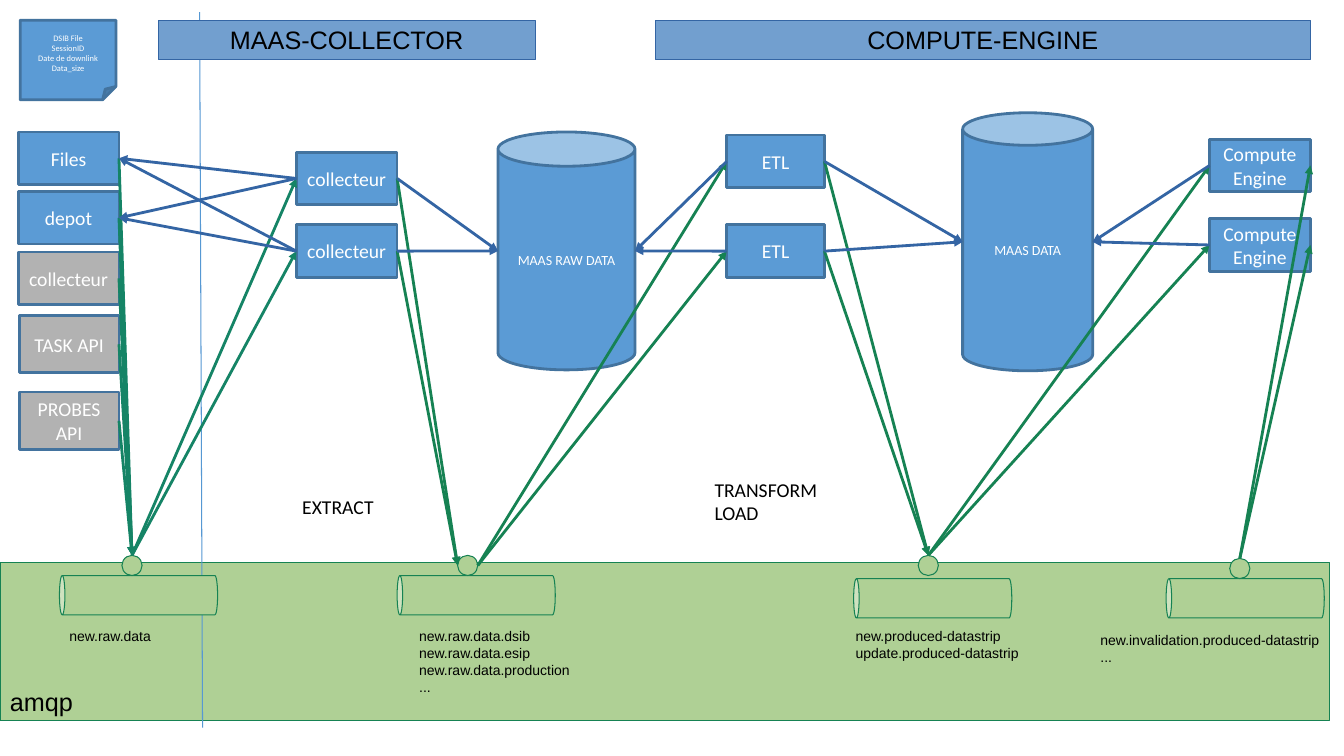
from pptx import Presentation
from pptx.dml.color import RGBColor
from pptx.enum.shapes import MSO_CONNECTOR, MSO_SHAPE
from pptx.enum.text import MSO_ANCHOR, PP_ALIGN
from pptx.oxml.ns import qn
from pptx.util import Pt
from lxml import etree

RECT = MSO_SHAPE.RECTANGLE
CAN = MSO_SHAPE.CAN
NOTE = MSO_SHAPE.FOLDED_CORNER
OVAL = MSO_SHAPE.OVAL
LINE = MSO_CONNECTOR.STRAIGHT
MIDDLE = MSO_ANCHOR.MIDDLE
CENTER = PP_ALIGN.CENTER
LEFT = PP_ALIGN.LEFT

COLORS = {
    "box": "5B9BD5", "edge": "43739E", "gray": "B2B2B2",
    "band": "AFD095", "green": "168253", "dark": "158466",
    "title": "729FCF", "blue": "3465A4", "rule": "5698D3",
    "white": "FFFFFF", "black": "000000",
}


def rgb(name):
    return RGBColor.from_string(COLORS[name])


def write(shape, lines, size, font, color, align):
    frame = shape.text_frame
    frame.word_wrap = True
    for i, line in enumerate(lines):
        para = frame.paragraphs[0] if i == 0 else frame.add_paragraph()
        para.alignment = align
        run = para.add_run()
        run.text = line
        run.font.size = Pt(size)
        run.font.name = font
        run.font.color.rgb = rgb(color)


def draw(slide, kind, spot, fill, edge, width=0.75, adjust=None):
    shape = slide.shapes.add_shape(kind, *map(Pt, spot))
    shape.shadow.inherit = False
    shape.fill.solid()
    shape.fill.fore_color.rgb = rgb(fill)
    shape.line.color.rgb = rgb(edge)
    shape.line.width = Pt(width)
    if adjust is not None:
        shape.adjustments[0] = adjust
    return shape


def block(slide, spot, lines, fill="box", kind=RECT, size=14, adjust=None):
    shape = draw(slide, kind, spot, fill, "edge", 2, adjust)
    shape.text_frame.vertical_anchor = MIDDLE
    write(shape, lines, size, "Calibri", "white", CENTER)
    return shape


def title(slide, left, width, text):
    shape = draw(slide, RECT, (left, 14.4, width, 28.1), "title", "blue")
    shape.text_frame.vertical_anchor = MIDDLE
    write(shape, [text], 18, "Arial", "black", CENTER)


def label(slide, spot, lines, size, font="Arial"):
    box = slide.shapes.add_textbox(*map(Pt, spot))
    write(box, lines, size, font, "black", LEFT)
    box.text_frame.margin_right = 0


def queue(slide, left, top, node_left, node_top):
    wide, high = 113, 28.1
    spot = (left + (wide - high) / 2, top + (high - wide) / 2, high, wide)
    draw(slide, CAN, spot, "band", "green", adjust=0.14).rotation = 270
    return draw(slide, OVAL, (node_left, node_top, 14.4, 14.4), "band", "green")


def west(shape):
    return shape.left, shape.top + shape.height // 2


def east(shape):
    return shape.left + shape.width, shape.top + shape.height // 2


def north(shape):
    return shape.left + shape.width // 2, shape.top


def link(slide, start, end, color, width=0, head=True):
    line = slide.shapes.add_connector(LINE, *start, *end)
    line.line.color.rgb = rgb(color)
    line.line.width = Pt(width)
    if head:
        edge = line._element.spPr.find(qn("a:ln"))
        etree.SubElement(edge, qn("a:tailEnd")).set("type", "triangle")
    etree.SubElement(line._element.spPr, qn("a:effectLst"))


def main():
    deck = Presentation()
    deck.slide_width, deck.slide_height = Pt(960), Pt(540)
    slide = deck.slides.add_slide(deck.slide_layouts[6])

    draw(slide, RECT, (0, 401.8, 949.7, 113), "band", "green")
    link(slide, (Pt(142.6), Pt(8.6)), (Pt(144.7), Pt(519.8)), "rule", 0.75, False)

    block(slide, (14.4, 14.4, 68.4, 56.9),
          ["DSIB File", "SessionID", "Date de downlink", "Data_size"],
          kind=NOTE, size=6)
    inputs = [block(slide, (left, top, wide, high), [text], fill)
              for left, top, wide, high, text, fill in (
                  (13, 94.3, 72, 37.6, "Files", "box"),
                  (13, 136.8, 72, 37.6, "depot", "box"),
                  (13, 180, 72, 37.6, "collecteur", "gray"),
                  (13.7, 225.4, 71.3, 41, "TASK API", "gray"),
                  (13.7, 280.1, 71.3, 41, "PROBES API", "gray"))]
    takers = [block(slide, (211.7, top, 72, 37.6), ["collecteur"])
              for top in (108.7, 160.6)]
    etls = [block(slide, (519.1, top, 69.8, 37.6), ["ETL"])
            for top in (96.5, 160.6)]
    engines = [block(slide, (864, top, 72, 37.6), ["Compute Engine"])
               for top in (99.4, 156.2)]
    raw = block(slide, (355.7, 94.3, 97.9, 169.9), ["MAAS RAW DATA"],
                kind=CAN, size=10, adjust=0.25)
    data = block(slide, (687.6, 80.6, 92.9, 184.3), ["MAAS DATA"],
                 kind=CAN, size=10, adjust=0.25)

    fresh = queue(slide, 42.5, 411.1, 87.1, 396.7)
    stored = queue(slide, 283.7, 411.1, 326.9, 396.7)
    made = queue(slide, 609.8, 413.3, 655.9, 396.7)
    void = queue(slide, 833, 413.3, 878.4, 398.9)

    for item in inputs:
        link(slide, east(item), north(fresh), "dark")
    for taker in takers:
        link(slide, north(fresh), west(taker), "dark")
        link(slide, east(taker), west(stored), "green")
        link(slide, east(taker), west(raw), "blue")
        for item in inputs[:2]:
            link(slide, west(taker), east(item), "blue")
    for etl in etls:
        link(slide, east(stored), west(etl), "green")
        link(slide, east(etl), north(made), "green")
        link(slide, west(etl), east(raw), "blue")
        link(slide, east(etl), west(data), "blue")
    for engine in engines:
        link(slide, north(made), west(engine), "green")
        link(slide, north(void), east(engine), "green")
        link(slide, west(engine), east(data), "blue")

    title(slide, 113, 269.3, "MAAS-COLLECTOR")
    title(slide, 468, 468, "COMPUTE-ENGINE")
    label(slide, (208.8, 349.9, 77.8, 40.3), ["EXTRACT"], 14, "Calibri")
    label(slide, (503.3, 337.7, 101.5, 40.3), ["TRANSFORM", "LOAD"], 14, "Calibri")
    label(slide, (0, 486.7, 66.2, 28.1), ["amqp"], 18)
    label(slide, (42.5, 445, 76.3, 18), ["new.raw.data"], 10)
    label(slide, (292.3, 445, 128.9, 51.8),
          ["new.raw.data.dsib", "new.raw.data.esip",
           "new.raw.data.production", "..."], 10)
    label(slide, (604.1, 445, 131, 29.5),
          ["new.produced-datastrip", "update.produced-datastrip"], 10)
    label(slide, (779, 447.8, 170.6, 29.5),
          ["new.invalidation.produced-datastrip", "..."], 10)

    deck.save("out.pptx")


main()
